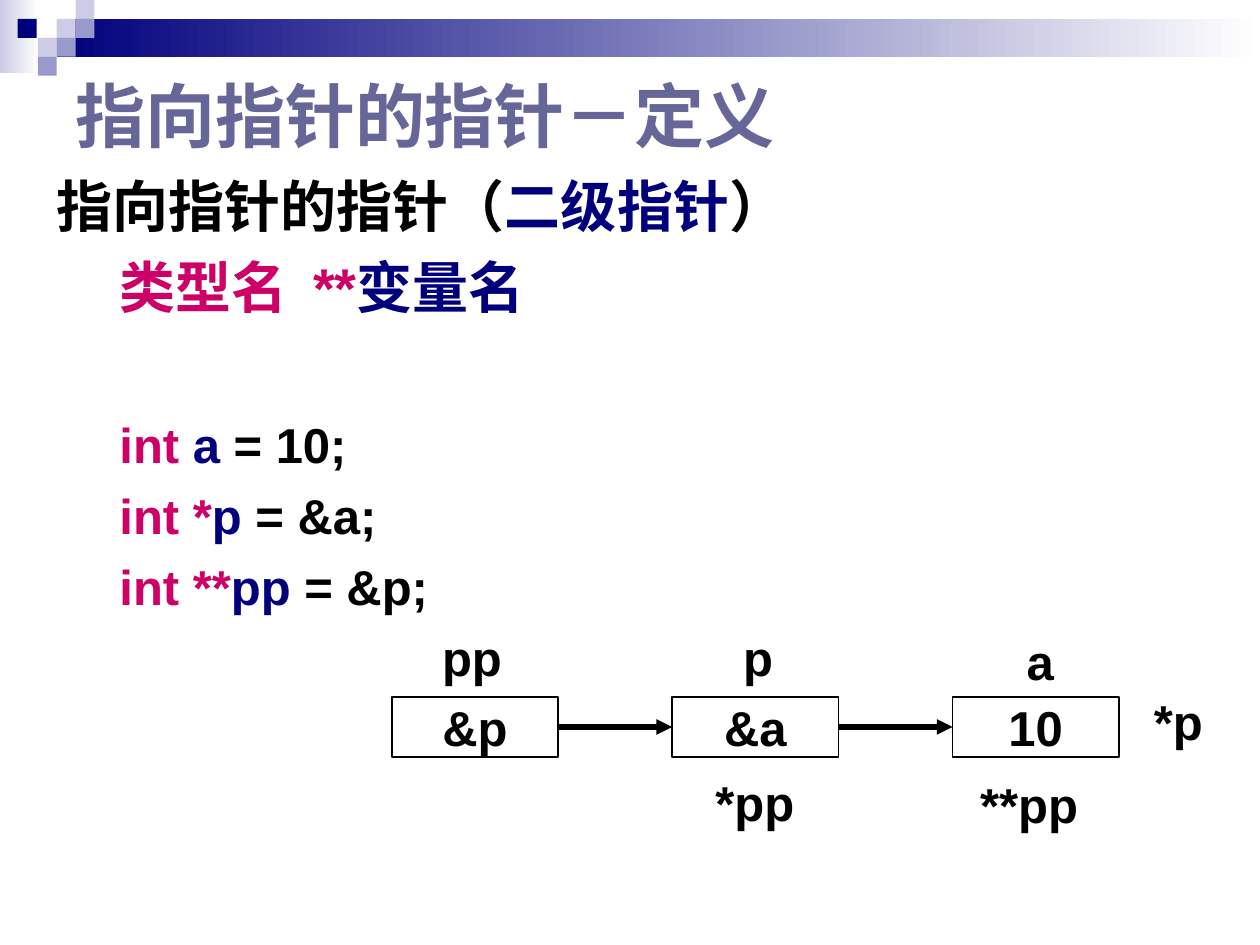
from lxml.etree import SubElement
from pptx import Presentation
from pptx.dml.color import RGBColor
from pptx.enum.shapes import MSO_CONNECTOR, MSO_SHAPE
from pptx.enum.text import MSO_ANCHOR, MSO_AUTO_SIZE, PP_ALIGN
from pptx.oxml.ns import qn
from pptx.util import Inches, Pt

COLORS = {
    "black": "000000", "white": "FFFFFF", "navy": "00007D", "title": "666699",
    "pink": "CC0066", "pale": "CCCCE6", "lilac": "9999CC",
}
COLUMNS, ROWS = 200, 150


def color(name):
    return RGBColor.from_string(COLORS[name])


def write(paragraph, runs, size=28, align=PP_ALIGN.LEFT, before=0, indent=0):
    """Fill a paragraph with (text, colour[, letter spacing in points]) runs."""
    properties = paragraph._p.get_or_add_pPr()
    properties.set("marL", "0")
    properties.set("indent", str(Inches(indent)))
    paragraph.alignment = align
    paragraph.space_before = Pt(before)
    for text, name, *spacing in runs:
        run = paragraph.add_run()
        run.text = text
        run.font.name = "Arial"
        run.font.size = Pt(size)
        run.font.bold = True
        run.font.color.rgb = color(name)
        if spacing:
            run._r.get_or_add_rPr().set("spc", str(round(spacing[0] * 100)))


class SlideBuilder:
    """Places elements on a slide by columns and rows of a fine grid."""

    def __init__(self, presentation):
        self.slide = presentation.slides.add_slide(presentation.slide_layouts[6])
        self.column = presentation.slide_width / COLUMNS
        self.row = presentation.slide_height / ROWS

    def place(self, left, top, width, height):
        return (round(left * self.column), round(top * self.row),
                round(width * self.column), round(height * self.row))

    def rectangle(self, *area, fill=None, fade=None, line=None):
        shape = self.slide.shapes.add_shape(MSO_SHAPE.RECTANGLE, *self.place(*area))
        shape.shadow.inherit = False
        if fade:
            shape.fill.gradient()
            shape.fill.gradient_angle = 0
            for stop, name, position in zip(shape.fill.gradient_stops, (fade, "white"), (0, 1)):
                stop.color.rgb = color(name)
                stop.position = position
        elif fill:
            shape.fill.solid()
            shape.fill.fore_color.rgb = color(fill)
        else:
            shape.fill.background()
        if line:
            shape.line.color.rgb = color(line)
            shape.line.width = Pt(1)
        else:
            shape.line.fill.background()
        return shape

    def text(self, *area, paragraphs, anchor=MSO_ANCHOR.TOP):
        box = self.slide.shapes.add_textbox(*self.place(*area))
        frame = box.text_frame
        frame.word_wrap = True
        frame.vertical_anchor = anchor
        for index, options in enumerate(paragraphs):
            paragraph = frame.add_paragraph() if index else frame.paragraphs[0]
            write(paragraph, **options)
        return frame

    def label(self, *area, name):
        frame = self.text(*area, paragraphs=[dict(runs=[(name, "black")])])
        frame.word_wrap = False
        frame.auto_size = MSO_AUTO_SIZE.SHAPE_TO_FIT_TEXT

    def memory_cell(self, *area, value):
        frame = self.rectangle(*area, line="black").text_frame
        frame.word_wrap = False
        frame.vertical_anchor = MSO_ANCHOR.MIDDLE
        write(frame.paragraphs[0], [(value, "black")], align=PP_ALIGN.CENTER)

    def arrow(self, start, end, row):
        left, top, right, _ = self.place(start, row, end, 0)
        connector = self.slide.shapes.add_connector(
            MSO_CONNECTOR.STRAIGHT, left, top, right, top)
        connector.line.color.rgb = color("black")
        connector.line.width = Pt(3)
        SubElement(connector.line._get_or_add_ln(), qn("a:tailEnd"), type="triangle")
        SubElement(connector._element.spPr, qn("a:effectLst"))


def declaration(type_part, name, value, before=7):
    return dict(runs=[(type_part, "pink"), (name, "navy"), (value, "black")],
                before=before, indent=0.5)


def main():
    presentation = Presentation()
    presentation.slide_width, presentation.slide_height = Inches(10), Inches(7.5)
    builder = SlideBuilder(presentation)

    # Header band and its mosaic of squares
    builder.rectangle(0, 0, 6.2, 11.6, fade="pale")
    builder.rectangle(9, 3, 191, 6, fade="navy")
    for left, top, name in [(9, 3, "pale"), (12, 0, "pale"), (12, 3, "lilac"), (6, 6, "pale"),
                            (2.8, 3, "navy"), (9, 6, "lilac"), (6, 9, "lilac")]:
        builder.rectangle(left, top, 3, 3, fill=name)

    # Title
    builder.text(10, 10, 142, 16.2, anchor=MSO_ANCHOR.MIDDLE, paragraphs=[
        dict(runs=[("指向指针的指针－定义", "title")], size=40)])

    # Syntax and example declarations
    builder.text(7, 26.2, 187.4, 75.6, paragraphs=[
        dict(runs=[("指向指针的指针（", "black"), ("二级指针", "navy"), ("）", "black")], size=32),
        dict(runs=[("类型名", "pink"), (" ", "pink", 7.2), ("**", "pink"), ("变量名", "navy")],
             size=32, before=8, indent=0.5),
        declaration("int ", "a", " = 10;", before=54),
        declaration("int *", "p", " = &a;"),
        declaration("int **", "pp", " = &p;"),
    ])

    # Chain of memory cells, each pointing to the next
    first, pitch, width, top, height = 62.2, 44.5, 26.4, 110.6, 9.6
    values = ["&p", "&a", "10"]
    for index, value in enumerate(values):
        left = first + index * pitch
        builder.memory_cell(left, top, width, height, value=value)
        if index < len(values) - 1:
            builder.arrow(left + width, left + pitch, top + height / 2)

    # Names of the cells
    for name, left, label_top, label_width in [
            ("pp", 68.2, 98.6, 13.6), ("p", 116, 98.6, 8.8), ("a", 161, 99.2, 8.2),
            ("*p", 181.2, 108.8, 11.8), ("*pp", 111.6, 121.6, 16.6), ("**pp", 153.6, 122, 19.6)]:
        builder.label(left, label_top, label_width, 11.4, name=name)

    presentation.save("out.pptx")


if __name__ == "__main__":
    main()
